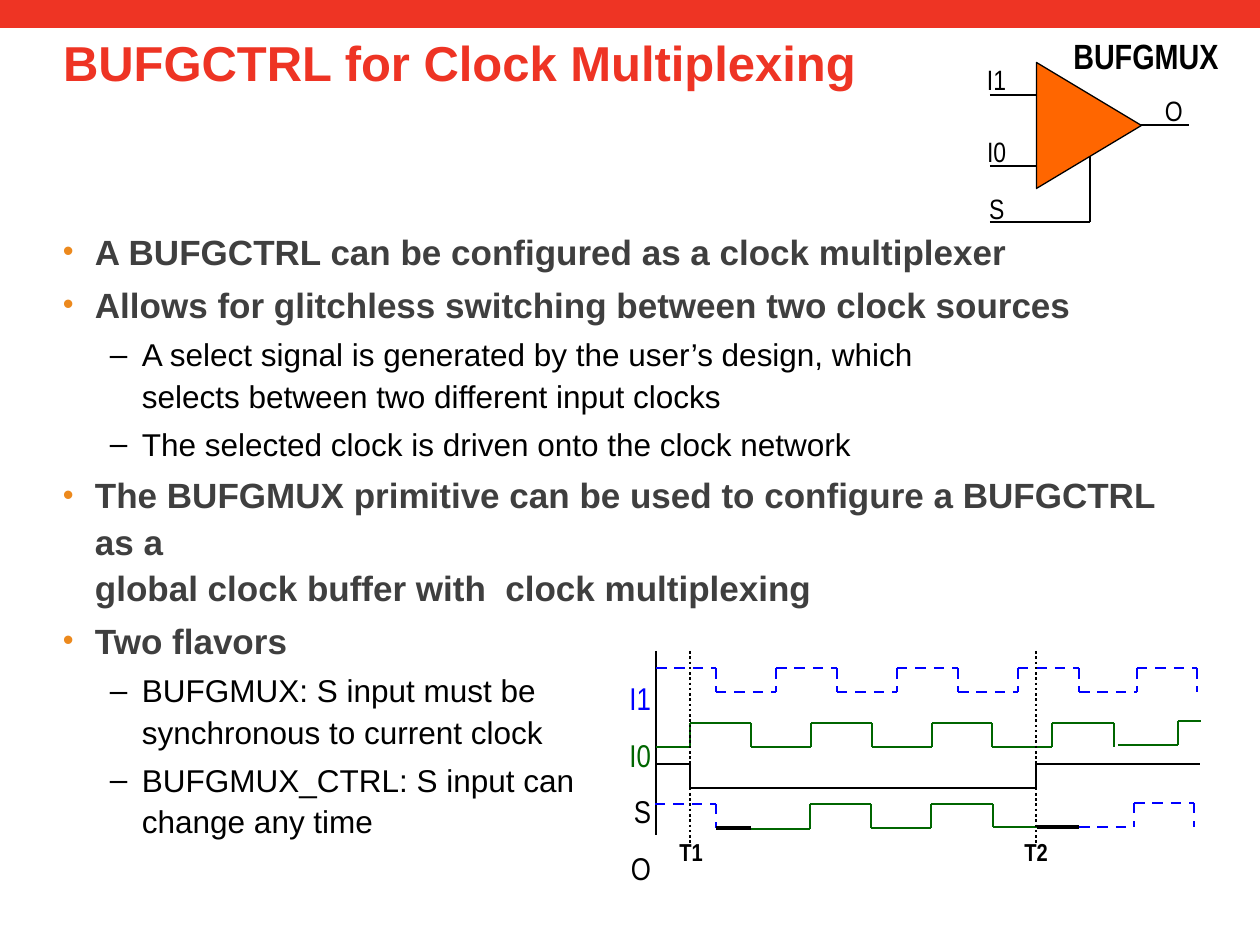
"""Build the slide on clock multiplexing with its buffer symbol and timing diagram."""
import itertools

import lxml.etree
import pptx
import pptx.dml.color
import pptx.enum.dml
import pptx.enum.shapes
import pptx.enum.text
import pptx.oxml.ns
import pptx.util

PX = 914400 / 126
BLACK, BLUE, GREEN, RED = "000000", "0000FF", "006600", "EE3424"
DASH = pptx.enum.dml.MSO_LINE.DASH
DOTS = pptx.enum.dml.MSO_LINE.ROUND_DOT
LEFT, CENTER, RIGHT = (
    pptx.enum.text.PP_ALIGN.LEFT, pptx.enum.text.PP_ALIGN.CENTER, pptx.enum.text.PP_ALIGN.RIGHT)
TOP, MIDDLE = pptx.enum.text.MSO_ANCHOR.TOP, pptx.enum.text.MSO_ANCHOR.MIDDLE
color = pptx.dml.color.RGBColor.from_string
qn = pptx.oxml.ns.qn

deck = pptx.Presentation()
deck.slide_width, deck.slide_height = round(1260 * PX), round(945 * PX)
slide = deck.slides.add_slide(deck.slide_layouts[5])


def fill_text(box, place, lines, size, font, bold=False, align=LEFT, anchor=TOP,
              insets=(13, 6, 13, 6), spacing=1.0, before=0):
    """Place a text shape and write one paragraph per (text, colour) pair."""
    for side, value in zip(("left", "top", "width", "height"), place):
        setattr(box, side, round(value * PX))
    frame = box.text_frame
    layout = {"word_wrap": True, "auto_size": pptx.enum.text.MSO_AUTO_SIZE.NONE,
              "vertical_anchor": anchor}
    for side, value in zip(("left", "top", "right", "bottom"), insets):
        layout["margin_" + side] = round(value * PX)
    for name, value in layout.items():
        setattr(frame, name, value)
    frame.text = "\n".join(text for text, _ in lines)
    for paragraph, (_, tint) in zip(frame.paragraphs, lines):
        for name, value in {"alignment": align, "line_spacing": spacing,
                            "space_before": pptx.util.Pt(before)}.items():
            setattr(paragraph, name, value)
        for run in paragraph.runs:
            for name, value in {"name": font, "size": pptx.util.Pt(size), "bold": bold}.items():
                setattr(run.font, name, value)
            run.font.color.rgb = color(tint)
    return frame


def trace(points, tint, weight, dash=None):
    """Join successive points with straight lines."""
    for start, end in itertools.pairwise(points):
        ends = [round(value * PX) for value in (*min(start, end), *max(start, end))]
        segment = slide.shapes.add_connector(pptx.enum.shapes.MSO_CONNECTOR.STRAIGHT, *ends)
        segment.line.color.rgb = color(tint)
        segment.line.width = pptx.util.Pt(weight)
        segment.line.dash_style = dash
        lxml.etree.SubElement(segment._element.spPr, qn("a:effectLst"))


banner = slide.shapes.add_shape(
    pptx.enum.shapes.MSO_SHAPE.RECTANGLE, 0, 0, deck.slide_width, round(28 * PX))
banner.shadow.inherit = False
banner.fill.solid()
banner.fill.fore_color.rgb = color(RED)
banner.line.fill.background()

fill_text(slide.shapes.title, (63, 29, 1134, 158), [("BUFGCTRL for Clock Multiplexing", RED)],
          28, "Arial", True, insets=(0, 6, 13, 6), spacing=0.98)

points_by_level = [
    (0, "A BUFGCTRL can be configured as a clock multiplexer"),
    (0, "Allows for glitchless switching between two clock sources"),
    (1, "A select signal is generated by the user’s design, which \v"
        "selects between two different input clocks"),
    (1, "The selected clock is driven onto the clock network"),
    (0, "The BUFGMUX primitive can be used to configure a BUFGCTRL as a \v"
        "global clock buffer with  clock multiplexing"),
    (0, "Two flavors"),
    (1, "BUFGMUX: S input must be \vsynchronous to current clock"),
    (1, "BUFGMUX_CTRL: S input can\vchange any time"),
]
level_styles = [
    {"tint": "3F3F3F", "size": 20, "bold": True, "margin": 32, "mark": "•",
     "mark_tint": "EC891D", "mark_size": "88000"},
    {"tint": BLACK, "size": 18, "bold": False, "margin": 79, "mark": "–",
     "mark_tint": BLACK, "mark_size": "100000"},
]
body = fill_text(slide.shapes.add_textbox(0, 0, 0, 0), (63, 220, 1134, 588),
                 [(text, level_styles[level]["tint"]) for level, text in points_by_level],
                 20, "Arial", insets=(0, 6, 13, 6), spacing=1.1)
for paragraph, (level, _) in zip(body.paragraphs, points_by_level):
    style = level_styles[level]
    paragraph.level = level
    paragraph.space_before = pptx.util.Pt(style["size"] * 0.2)
    for run in paragraph.runs:
        run.font.size, run.font.bold = pptx.util.Pt(style["size"]), style["bold"]
    properties = paragraph._p.get_or_add_pPr()
    properties.set("marL", str(round(style["margin"] * PX)))
    properties.set("indent", str(round(-32 * PX)))
    mark_color = lxml.etree.SubElement(properties, qn("a:buClr"))
    lxml.etree.SubElement(mark_color, qn("a:srgbClr"), val=style["mark_tint"])
    lxml.etree.SubElement(properties, qn("a:buSzPct"), val=style["mark_size"])
    lxml.etree.SubElement(properties, qn("a:buFont"), typeface="Arial")
    lxml.etree.SubElement(properties, qn("a:buChar"), char=style["mark"])

trace([(656, 651), (656, 835)], BLACK, 0.75)
fill_text(slide.shapes.add_textbox(0, 0, 0, 0), (615, 654, 49, 209),
          [("I1", BLUE), ("I0", GREEN), ("S", BLACK), ("O", BLACK)],
          18, "Arial Narrow", align=RIGHT, spacing=1.5)

i1_edges = [716, 776, 837, 897, 958, 1018, 1079, 1137, 1197]
i0_edges = [690, 751, 811, 872, 932, 992, 1052, 1114]
for start, edges, levels, tint, dash in [
    (656, i1_edges, (668, 692), BLUE, DASH),
    (656, i0_edges, (747, 723), GREEN, None),
]:
    wave = [(start, levels[0])]
    for index, edge in enumerate(edges):
        wave += [(edge, levels[index % 2]), (edge, levels[1 - index % 2])]
    trace(wave, tint, 1.5, dash)
trace([(1118, 745), (1178, 745), (1178, 721), (1201, 721)], GREEN, 1.5)

trace([(656, 764), (690, 764), (690, 788), (1036, 788), (1036, 764), (1200, 764)], BLACK, 1.5)

trace([(655, 804), (716, 804), (716, 828)], BLUE, 1.5, DASH)
trace([(751, 829), (810, 829), (810, 804), (871, 804), (871, 828), (931, 828),
       (931, 804), (993, 804), (993, 827), (1052, 827)], GREEN, 1.5)
trace([(1079, 827), (1134, 827), (1134, 803), (1194, 803), (1194, 827)], BLUE, 1.5, DASH)
for left, right, level in [(716, 751, 828), (1037, 1079, 827)]:
    trace([(left, level), (right, level)], BLACK, 2.5)

for moment, x, label_left in [("T1", 690, 664), ("T2", 1036, 1009)]:
    trace([(x, 651), (x, 843)], BLACK, 1.5, DOTS)
    fill_text(slide.shapes.add_textbox(0, 0, 0, 0), (label_left, 833, 54, 37),
              [(moment, BLACK)], 14, "Arial Narrow", True, CENTER, MIDDLE)

for wire in [
    [(990, 95), (1042, 95)],
    [(990, 166), (1042, 166)],
    [(990, 222), (1090, 222), (1090, 150)],
    [(1137, 125), (1189, 125)],
]:
    trace(wire, BLACK, 0.75)
buffer = slide.shapes.add_shape(
    pptx.enum.shapes.MSO_SHAPE.ISOSCELES_TRIANGLE,
    *[round(value * PX) for value in (1026, 73, 126, 105)])
buffer.rotation = 90
buffer.shadow.inherit = False
buffer.fill.solid()
buffer.fill.fore_color.rgb = color("FF6600")
buffer.line.color.rgb = color(BLACK)
buffer.line.width = pptx.util.Pt(0.75)

for pin, left, top, width in [
    ("I1", 974, 60, 49), ("I0", 974, 132, 67), ("S", 976, 189, 68), ("O", 1152, 91, 74),
]:
    fill_text(slide.shapes.add_textbox(0, 0, 0, 0), (left, top, width, 40),
              [(pin, BLACK)], 16, "Arial Narrow", spacing=0.9, before=8)
fill_text(slide.shapes.add_textbox(0, 0, 0, 0), (1047, 44, 198, 35), [("BUFGMUX", BLACK)],
          20, "Arial Narrow", True, CENTER, MIDDLE, (3, 1, 3, 1), 0.6, 10)

deck.save("out.pptx")
